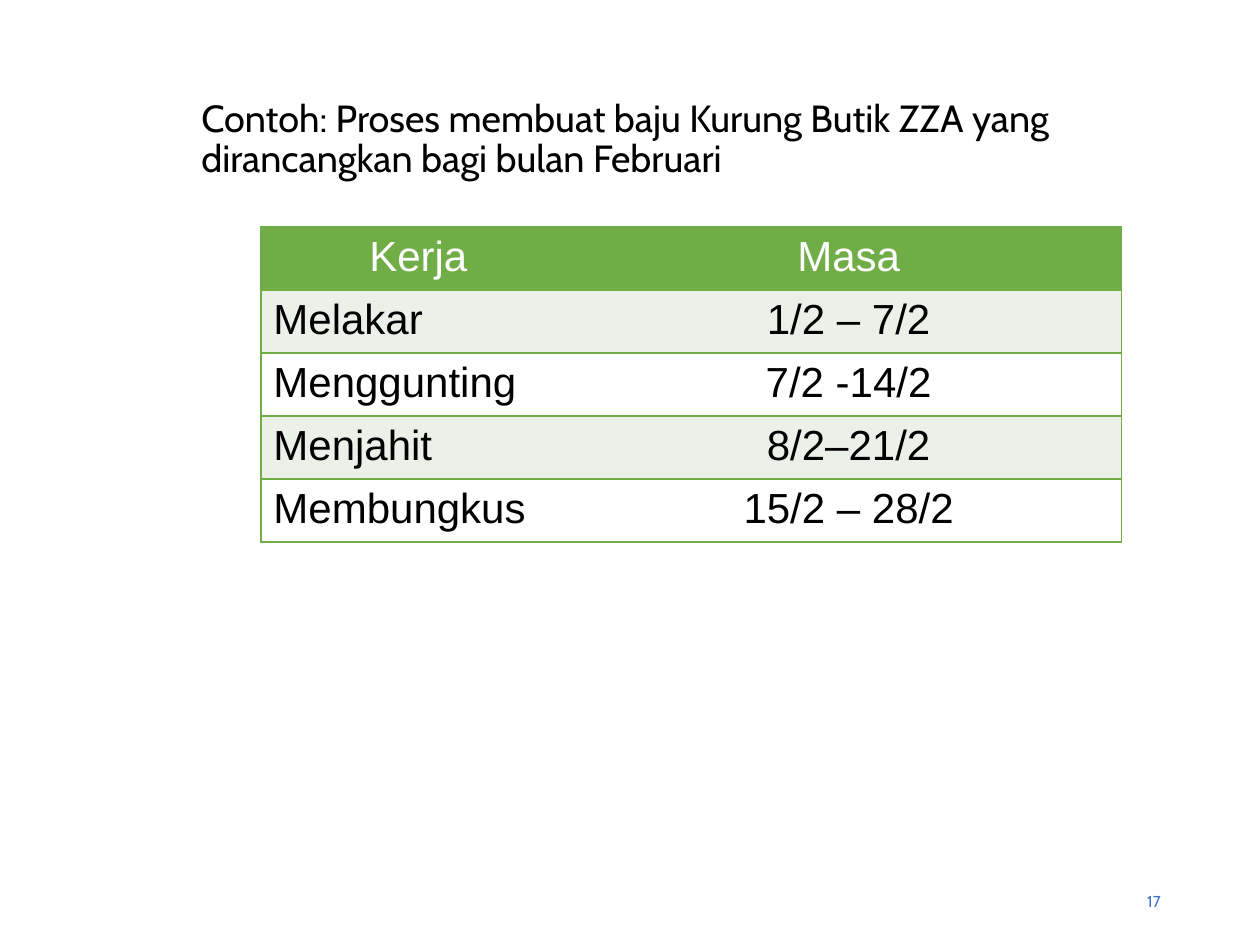
"""Build a slide with the work schedule of a baju kurung boutique."""
from dataclasses import dataclass

import lxml.etree
import pptx
import pptx.dml.color
import pptx.enum.text
import pptx.oxml.ns
import pptx.util

Inches = pptx.util.Inches
Pt = pptx.util.Pt
RGBColor = pptx.dml.color.RGBColor
Align = pptx.enum.text.PP_ALIGN
Anchor = pptx.enum.text.MSO_ANCHOR
qn = pptx.oxml.ns.qn

BLACK = RGBColor(0x00, 0x00, 0x00)
WHITE = RGBColor(0xFF, 0xFF, 0xFF)
GREEN = RGBColor(0x70, 0xAD, 0x47)
PALE_GREEN = RGBColor(0xEB, 0xF1, 0xE8)
BLUE = RGBColor(0x44, 0x72, 0xC4)

COLUMN_WIDTHS = (2.5, 4.33)
ROW_HEIGHT = 0.41
SCHEDULE = (
    ("Kerja", "Masa"),
    ("Melakar", "1/2 – 7/2"),
    ("Menggunting", "7/2 -14/2"),
    ("Menjahit", "8/2–21/2"),
    ("Membungkus", "15/2 – 28/2"),
)


@dataclass(frozen=True)
class Label:
    text: str
    left: float
    top: float
    width: float
    height: float
    size: float
    color: RGBColor
    align: Align = Align.LEFT
    anchor: Anchor = Anchor.TOP
    line_spacing: float = 1.0


LABELS = (
    Label("Contoh: Proses membuat baju Kurung Butik ZZA yang dirancangkan bagi bulan Februari",
          1.5, 0.74, 8.17, 0.56, 21.6, BLACK, line_spacing=0.9),
    Label("17", 7.06, 6.95, 2.25, 0.4, 9, BLUE, Align.RIGHT, Anchor.MIDDLE),
)


def style_paragraph(paragraph, name: str, size: float, color: RGBColor, align: Align) -> None:
    paragraph.alignment = align
    paragraph.font.name = name
    paragraph.font.size = Pt(size)
    paragraph.font.color.rgb = color


def add_label(page, label: Label) -> None:
    box = page.shapes.add_textbox(Inches(label.left), Inches(label.top),
                                  Inches(label.width), Inches(label.height))
    frame = box.text_frame
    frame.word_wrap = True
    frame.vertical_anchor = label.anchor
    frame.text = label.text
    paragraph = frame.paragraphs[0]
    paragraph.line_spacing = label.line_spacing
    style_paragraph(paragraph, "Cabin", label.size, label.color, label.align)


def add_border(cell, side: str, color: RGBColor) -> None:
    properties = cell._tc.get_or_add_tcPr()
    line = lxml.etree.SubElement(properties, qn(f"a:ln{side}"), w=str(Pt(1)))
    if color is None:
        lxml.etree.SubElement(line, qn("a:noFill"))
        return
    fill = lxml.etree.SubElement(line, qn("a:solidFill"))
    lxml.etree.SubElement(fill, qn("a:srgbClr"), val=str(color))


def style_cell(cell, text: str, row: int, column: int) -> None:
    header = row == 0
    cell.text = text
    style_paragraph(cell.text_frame.paragraphs[0], "Arial", 24,
                    WHITE if header else BLACK,
                    Align.CENTER if header or column else Align.LEFT)
    outer_sides = {"L": column == 0, "R": column == len(COLUMN_WIDTHS) - 1,
                   "T": True, "B": True}
    for side, visible in outer_sides.items():
        add_border(cell, side, GREEN if visible else None)
    cell.fill.solid()
    cell.fill.fore_color.rgb = GREEN if header else PALE_GREEN if row % 2 else WHITE


def add_schedule(page) -> None:
    table = page.shapes.add_table(
        len(SCHEDULE), len(COLUMN_WIDTHS), Inches(2.07), Inches(1.8),
        Inches(sum(COLUMN_WIDTHS)), Inches(ROW_HEIGHT * len(SCHEDULE))).table
    for column, width in zip(table.columns, COLUMN_WIDTHS):
        column.width = Inches(width)
    for row, texts in enumerate(SCHEDULE):
        table.rows[row].height = Inches(ROW_HEIGHT)
        for column, text in enumerate(texts):
            style_cell(table.cell(row, column), text, row, column)
            table.cell(row, column).text_frame.paragraphs[0].font.bold = False


def main() -> None:
    deck = pptx.Presentation()
    deck.slide_width = Inches(10)
    deck.slide_height = Inches(7.5)
    page = deck.slides.add_slide(deck.slide_layouts[6])
    for label in LABELS:
        add_label(page, label)
    add_schedule(page)
    deck.save("out.pptx")


if __name__ == "__main__":
    main()
